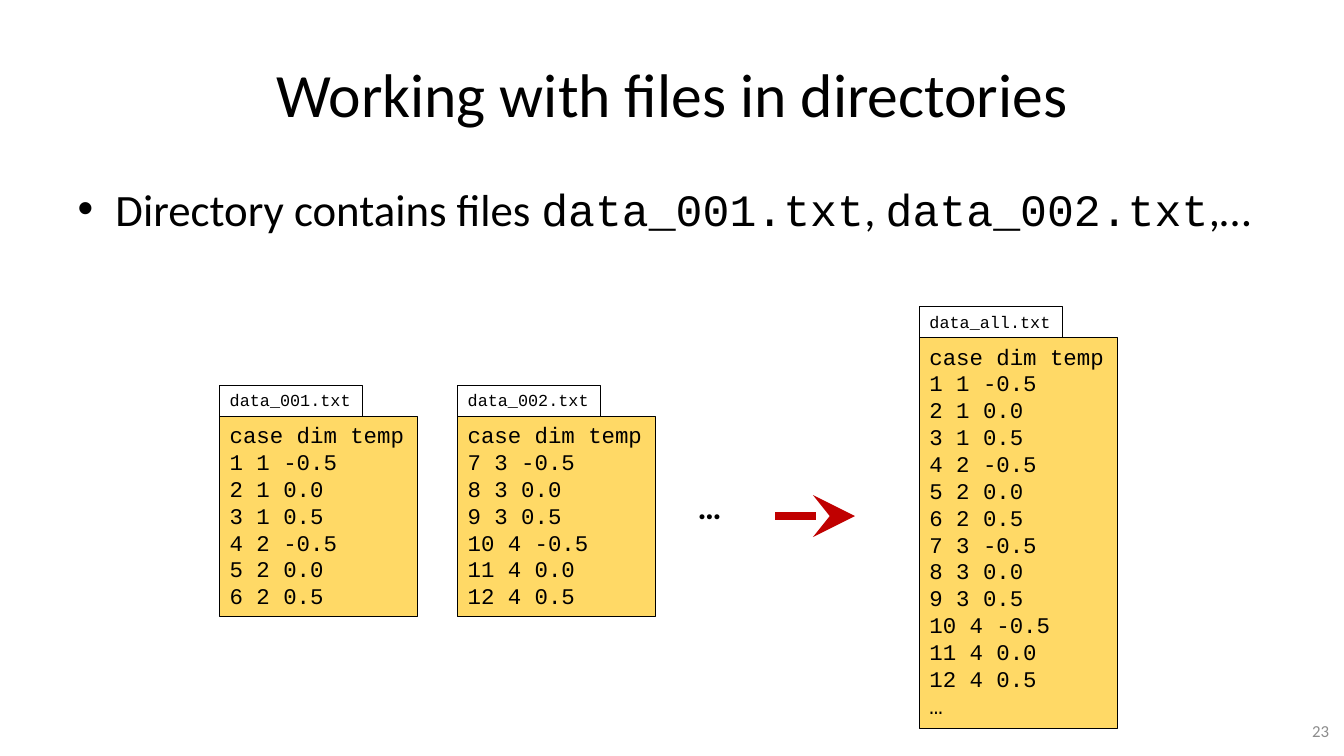
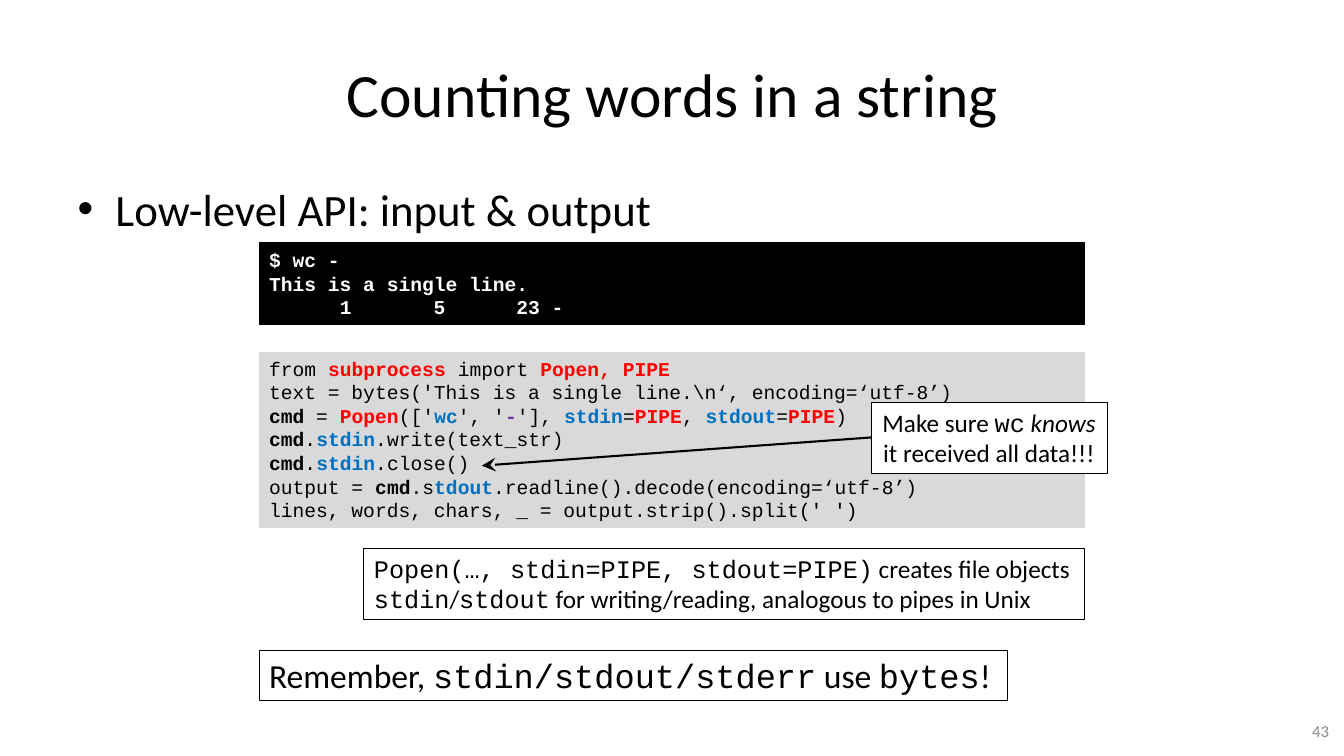
from lxml.etree import SubElement
from pptx import Presentation
from pptx.dml.color import RGBColor
from pptx.enum.shapes import MSO_CONNECTOR, MSO_SHAPE
from pptx.enum.text import MSO_ANCHOR, PP_ALIGN
from pptx.oxml.ns import qn
from pptx.util import Inches, Pt

# Shared look
BLACK, WHITE, GOLD, GREY, CRIMSON = "000000", "FFFFFF", "FFD966", "D9D9D9", "C00000"
SANS, MONO = {"name": "Calibri"}, {"name": "Courier New"}
BOLD = {"bold": True}
RED = {"bold": True, "color": "FF0000"}
BLUE = {"bold": True, "color": "0070C0"}
PURPLE = {"bold": True, "color": "7030A0"}
TITLE = {**SANS, "size": Pt(44)}
BODY = {**SANS, "size": Pt(32)}
NOTE = {**SANS, "size": Pt(18)}
LARGE = {**SANS, "size": Pt(24)}
CODE = {**MONO, "size": Pt(14)}
DATA = {**MONO, "size": Pt(16)}
LABEL = {**MONO, "size": Pt(12)}
NUMBER = {**SANS, "size": Pt(12), "color": "8C8C8C"}


def rgb(code):
    return RGBColor.from_string(code)


def place(shape, spot):
    for name, value in zip(("left", "top", "width", "height"), spot):
        setattr(shape, name, Inches(value))


# Text: a line is a list of parts, each a string or a (string, format) pair
def write_line(par, parts, base):
    for part in parts:
        text, extra = (part, {}) if isinstance(part, str) else part
        look = {"color": BLACK, **base, **extra}
        run = par.add_run()
        run.text = text
        run.font.color.rgb = rgb(look.pop("color"))
        for name, value in look.items():
            setattr(run.font, name, value)


def write(frame, lines, base, align=None):
    for index, parts in enumerate(lines):
        par = frame.add_paragraph() if index else frame.paragraphs[0]
        if align is not None:
            par.alignment = align
        write_line(par, parts, base)


def add_text(slide, spot, lines, base, align=None):
    text = slide.shapes.add_textbox(*map(Inches, spot))
    text.text_frame.word_wrap = True
    write(text.text_frame, lines, base, align)
    return text.text_frame


def add_box(shapes, spot, lines, base, fill=None, line=BLACK,
            align=PP_ALIGN.LEFT, wrap=True):
    box = shapes.add_shape(MSO_SHAPE.RECTANGLE, *map(Inches, spot))
    box.shadow.inherit = False
    if fill:
        box.fill.solid()
        box.fill.fore_color.rgb = rgb(fill)
    else:
        box.fill.background()
    if line:
        box.line.color.rgb = rgb(line)
        box.line.width = Pt(0.75)
    else:
        box.line.fill.background()
    frame = box.text_frame
    frame.word_wrap = wrap
    frame.vertical_anchor = MSO_ANCHOR.TOP
    write(frame, lines, base, align)
    return frame


def add_arrow(shapes, start, end, color, width):
    arrow = shapes.add_connector(
        MSO_CONNECTOR.STRAIGHT, *map(Inches, (*start, *end)))
    arrow.line.color.rgb = rgb(color)
    arrow.line.width = Pt(width)
    props = arrow._element.spPr
    SubElement(props.find(qn("a:ln")), qn("a:tailEnd"),
               type="stealth", w="lg", len="lg")
    SubElement(props, qn("a:effectLst"))


def set_tabs(par, stops):
    tabs = SubElement(par._p.get_or_add_pPr(), qn("a:tabLst"))
    for stop in stops:
        SubElement(tabs, qn("a:tab"), pos=str(Inches(stop)), algn="r")


# A data file: name tab on top of its rows
def add_file(slide, left, top, name, cases, more=()):
    temps = (-0.5, 0.0, 0.5)
    rows = [[f"{n} {(n - 1) // 3 + 1} {temps[(n - 1) % 3]}"] for n in cases]
    lines = [["case dim temp"], *rows, *more]
    group = slide.shapes.add_group_shape()
    height = 0.27 * len(lines) + 0.1
    add_box(group.shapes, (left, top, 1.96, height), lines, DATA, GOLD)
    add_box(group.shapes, (left, top - 0.31, 1.42, 0.31), [[name]], LABEL)


def add_page(deck, title, bullet, number):
    slide = deck.slides.add_slide(deck.slide_layouts[1])
    head, body = slide.placeholders
    write(head.text_frame, [[title]], TITLE)
    write(body.text_frame, [bullet], BODY)
    frame = add_text(slide, (10.17, 7.05, 3.11, 0.4), [[number]],
                     NUMBER, PP_ALIGN.RIGHT)
    frame.vertical_anchor = MSO_ANCHOR.MIDDLE
    return slide


def show_files(deck):
    bullet = ["Directory contains files ", ("data_001.txt", MONO), ", ",
              ("data_002.txt", MONO), ",…"]
    slide = add_page(deck, "Working with files in directories", bullet, "23")
    add_file(slide, 2.18, 4.13, "data_001.txt", range(1, 7))
    add_file(slide, 4.54, 4.13, "data_002.txt", range(7, 13))
    add_text(slide, (6.82, 4.77, 0.44, 0.5), [[("…", BOLD)]], LARGE)
    add_arrow(slide.shapes, (7.69, 5.12), (8.48, 5.12), CRIMSON, 6)
    add_file(slide, 9.12, 3.35, "data_all.txt", range(1, 13), [["…"]])


def show_count(deck):
    slide = add_page(deck, "Counting words in a string",
                     ["Low-level API: input & output"], "43")
    shapes = slide.shapes

    # Shell session, with counts set on right tabs
    shell = [["$ wc -"], ["This is a single line."], ["\t1\t5\t23 -"]]
    frame = add_box(shapes, (2.57, 2.41, 8.19, 0.81), shell,
                    {**CODE, "bold": True, "color": WHITE}, BLACK)
    set_tabs(frame.paragraphs[-1], (0.82, 1.75, 2.92))

    # Python code
    code = [
        ["from ", ("subprocess", RED), " import ", ("Popen, PIPE", RED)],
        ["text = bytes('This is a single line.\\n‘, encoding=‘utf-8’)"],
        [("cmd", BOLD), " = ", ("Popen", RED), "(['", ("wc", BLUE), "', '",
         ("-", PURPLE), "'], ", ("stdin", BLUE), "=", ("PIPE", RED), ", ",
         ("stdout", BLUE), "=", ("PIPE", RED), ")"],
        [("cmd", BOLD), ".", ("stdin", BLUE), ".write(text_str)"],
        [("cmd", BOLD), ".", ("stdin", BLUE), ".close()"],
        ["output = ", ("cmd", BOLD), ".s", ("tdout", BLUE),
         ".readline().decode(encoding=‘utf-8’)"],
        ["lines, words, chars, _ = output.strip().split(' ')"],
    ]
    add_box(shapes, (2.57, 3.49, 8.19, 1.75), code, CODE, GREY, None)

    # Notes
    pipes = [
        [("Popen(…, stdin=PIPE, stdout=PIPE)", MONO), " creates file objects"],
        [("stdin", MONO), "/", ("stdout", MONO),
         " for writing/reading, analogous to pipes in Unix"],
    ]
    add_box(shapes, (3.61, 5.44, 7.15, 0.71), pipes, NOTE)
    group = shapes.add_group_shape()
    hint = [["Make sure ", ("wc", MONO), (" knows", {"italic": True})],
            ["it received all data!!!"]]
    add_box(group.shapes, (8.64, 3.99, 2.34, 0.71), hint, NOTE, WHITE,
            align=PP_ALIGN.CENTER, wrap=False)
    add_arrow(group.shapes, (8.64, 4.34), (4.78, 4.62), BLACK, 1.5)
    recall = ["Remember, ", ("stdin/stdout/stderr", MONO), " use ",
              ("bytes", MONO), "!"]
    add_box(shapes, (2.57, 6.45, 7.42, 0.5), [recall], LARGE)


def main():
    deck = Presentation()
    deck.slide_width, deck.slide_height = Inches(13.33), Inches(7.5)
    head, body = list(deck.slide_layouts[1].placeholders)[:2]
    place(head, (0.67, 0.3, 12, 1.25))
    place(body, (0.67, 1.75, 12, 4.95))
    show_files(deck)
    show_count(deck)
    deck.save("out.pptx")


if __name__ == "__main__":
    main()
